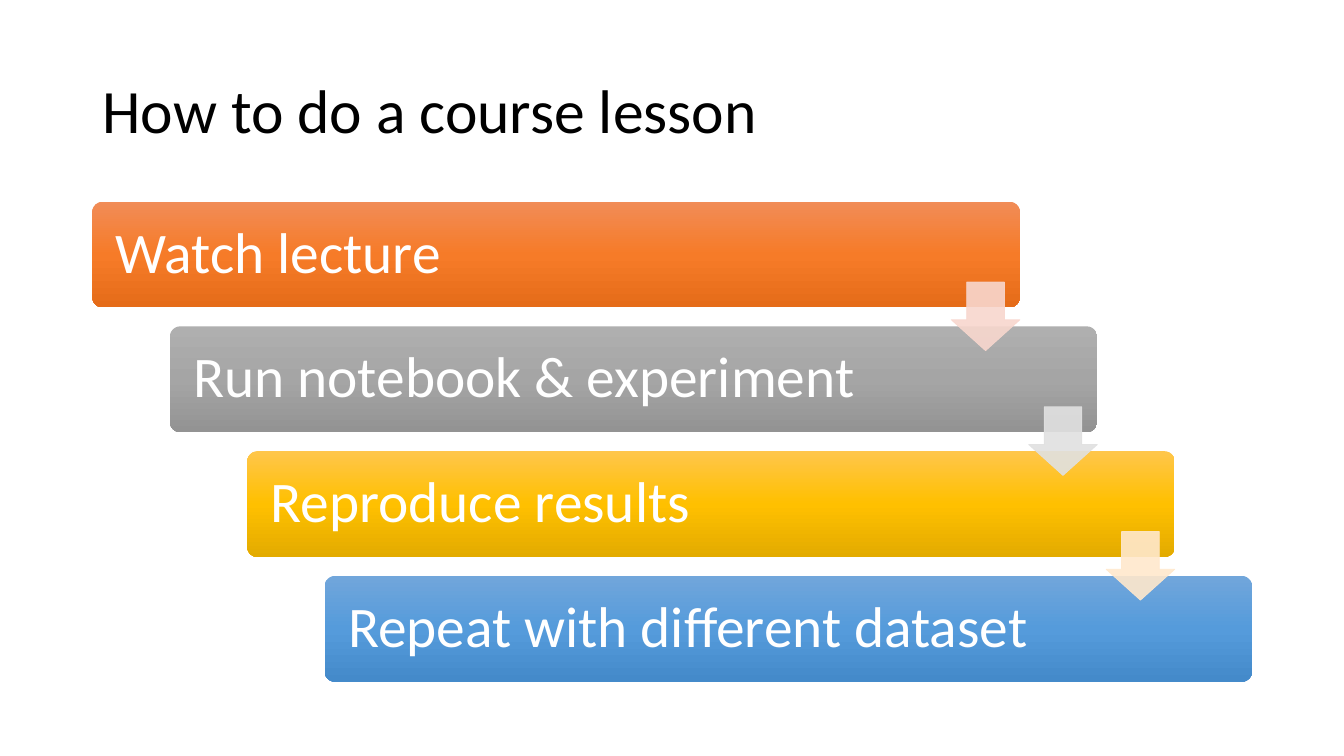
"""Build a slide with four staggered lesson steps joined by down arrows."""
import copy

import pptx
import pptx.dml.color
import pptx.enum.shapes
import pptx.enum.text
import pptx.oxml.ns
import pptx.util
from lxml import etree

Pt = pptx.util.Pt
qn = pptx.oxml.ns.qn
SHAPE = pptx.enum.shapes.MSO_SHAPE

TITLE = "How to do a course lesson"
STEPS = [
    ("Watch lecture", ("F18C57", "F67B28", "E56C19")),
    ("Run notebook & experiment", ("AFAFAF", "A5A5A5", "939393")),
    ("Reproduce results", ("FFC64B", "FFC000", "E3AB00")),
    ("Repeat with different dataset", ("71A6DB", "559BDB", "448ACA")),
]
ARROWS = ["F8D7CE", "E1E1E1", "FFE8CC"]

LEFT, TOP = 66, 144
BAR_W, BAR_H = 662.5, 75.6
STEP_X, STEP_Y = 55.3, 89.1
ARROW, ARROW_DROP = 49, 57.5


def rgb(value):
    return pptx.dml.color.RGBColor.from_string(value)


def set_text(tf, text, size, color):
    tf.word_wrap = True
    tf.auto_size = pptx.enum.text.MSO_AUTO_SIZE.NONE
    tf.vertical_anchor = pptx.enum.text.MSO_ANCHOR.MIDDLE
    p = tf.paragraphs[0]
    p.text = text
    p.alignment = pptx.enum.text.PP_ALIGN.LEFT
    p.line_spacing = 0.9
    p.font.name = "Calibri"
    p.font.size = Pt(size)
    p.font.color.rgb = rgb(color)


def set_gradient(sp, colors):
    sp.fill.gradient()
    sp.fill.gradient_angle = 270
    stops = sp._element.spPr.find(qn("a:gradFill")).find(qn("a:gsLst"))
    stops.insert(1, copy.deepcopy(stops[0]))
    for i, (stop, color) in enumerate(zip(sp.fill.gradient_stops, colors)):
        stop.position = i / 2
        stop.color.rgb = rgb(color)


def add_bar(s, i, text, colors):
    sp = s.shapes.add_shape(SHAPE.ROUNDED_RECTANGLE, Pt(LEFT + i * STEP_X),
                            Pt(TOP + i * STEP_Y), Pt(BAR_W), Pt(BAR_H))
    sp.adjustments[0] = 0.1
    sp.shadow.inherit = False
    sp.line.fill.background()
    set_gradient(sp, colors)
    tf = sp.text_frame
    tf.margin_left = tf.margin_right = Pt(14.5)
    set_text(tf, text, 41, "FFFFFF")


def add_arrow(s, i, color):
    sp = s.shapes.add_shape(SHAPE.DOWN_ARROW,
                            Pt(LEFT + i * STEP_X + BAR_W - ARROW),
                            Pt(TOP + i * STEP_Y + ARROW_DROP),
                            Pt(ARROW), Pt(ARROW))
    sp.adjustments[0] = 0.55
    sp.adjustments[1] = 0.45
    sp.shadow.inherit = False
    sp.fill.solid()
    sp.fill.fore_color.rgb = rgb(color)
    sp.line.color.rgb = rgb(color)
    sp.line.width = Pt(0.5)
    for clr in sp._element.spPr.iter(qn("a:srgbClr")):
        etree.SubElement(clr, qn("a:alpha")).set("val", "90000")


def main():
    prs = pptx.Presentation()
    prs.slide_width, prs.slide_height = Pt(960), Pt(540)
    s = prs.slides.add_slide(prs.slide_layouts[5])
    title = s.shapes.title
    title.left, title.top = Pt(LEFT), Pt(28.75)
    title.width, title.height = Pt(828), Pt(104.4)
    set_text(title.text_frame, TITLE, 44, "000000")
    for i, (text, colors) in enumerate(STEPS):
        add_bar(s, i, text, colors)
    for i, color in enumerate(ARROWS):
        add_arrow(s, i, color)
    prs.save("out.pptx")


if __name__ == "__main__":
    main()
